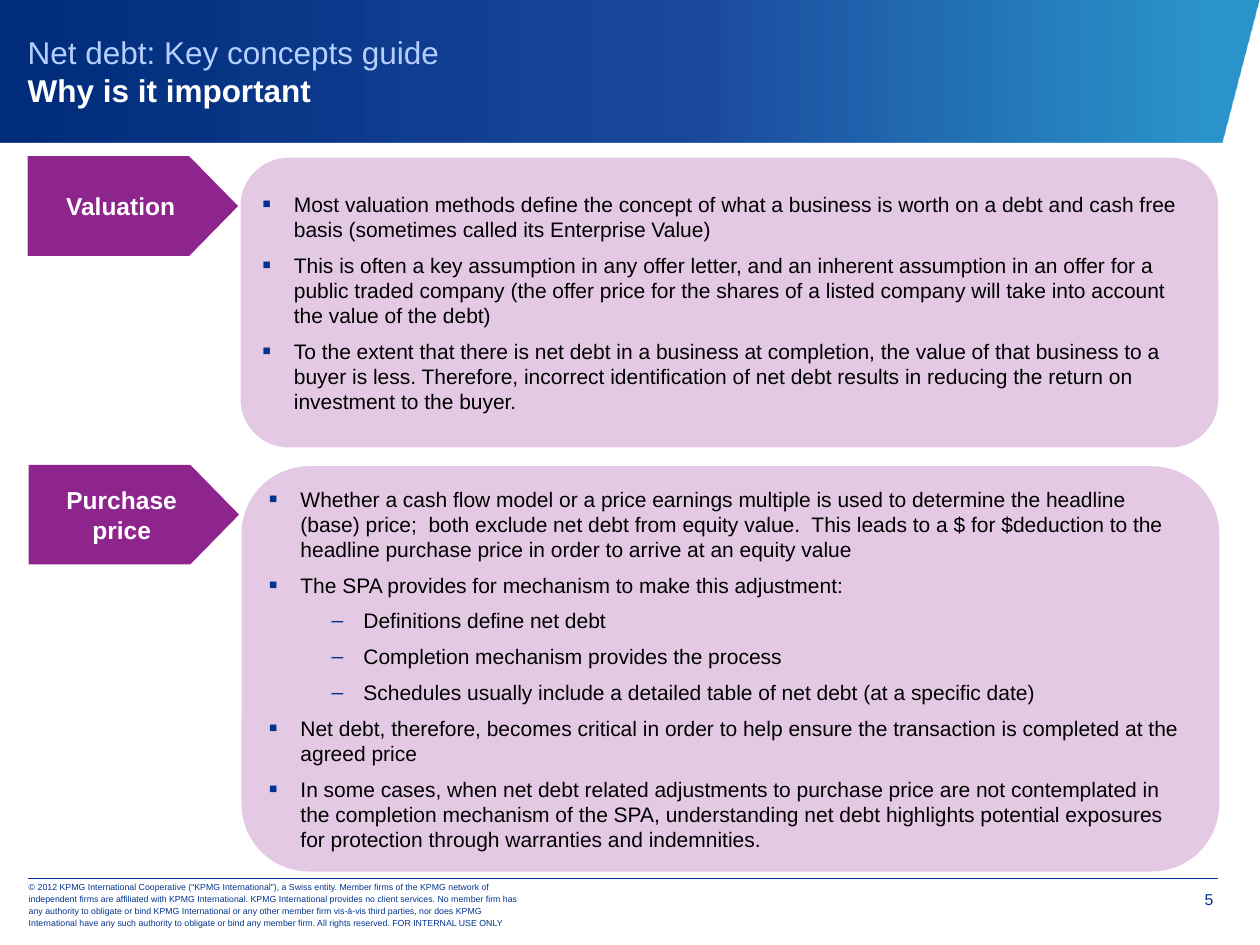
from dataclasses import dataclass

from lxml import etree
from pptx import Presentation
from pptx.dml.color import RGBColor
from pptx.enum.shapes import MSO_CONNECTOR, MSO_SHAPE
from pptx.enum.text import MSO_ANCHOR, PP_ALIGN
from pptx.oxml import parse_xml
from pptx.oxml.ns import nsdecls, qn
from pptx.util import Cm, Pt

MIDDLE, TOP = MSO_ANCHOR.MIDDLE, MSO_ANCHOR.TOP
LEFT, CENTER, RIGHT = PP_ALIGN.LEFT, PP_ALIGN.CENTER, PP_ALIGN.RIGHT
ROUND, ARROW = MSO_SHAPE.ROUNDED_RECTANGLE, MSO_SHAPE.PENTAGON
STRAIGHT = MSO_CONNECTOR.STRAIGHT


@dataclass(frozen=True)
class Theme:
    font: str = "Arial"
    navy: str = "00338D"
    pale: str = "B5D0FF"
    white: str = "FFFFFF"
    black: str = "000000"
    plum: str = "8E258D"
    lilac: str = "E3C9E3"
    # Banner stops: position %, colour, opacity %
    banner: tuple = ((4, "0080C0", 83), (44, "003492", 89), (100, "002C7A", 100))
    title: int = 18
    label: int = 14
    body: int = 12
    page: int = 9
    legal: int = 5


THEME = Theme()

# Bullet level, text
VALUE = [
    (1, "Most valuation methods define the concept of what a business is worth on a debt and "
        "cash free basis (sometimes called its Enterprise Value)"),
    (1, "This is often a key assumption in any offer letter, and an inherent assumption in an "
        "offer for a public traded company (the offer price for the shares of a listed company "
        "will take into account the value of the debt)"),
    (1, "To the extent that there is net debt in a business at completion, the value of that "
        "business to a buyer is less. Therefore, incorrect identification of net debt results "
        "in reducing the return on investment to the buyer."),
]
PRICE = [
    (1, "Whether a cash flow model or a price earnings multiple is used to determine the "
        "headline (base) price;  both exclude net debt from equity value.  This leads to a "
        "$ for $deduction to the headline purchase price in order to arrive at an equity value"),
    (1, "The SPA provides for mechanism to make this adjustment:"),
    (2, "Definitions define net debt"),
    (2, "Completion mechanism provides the process"),
    (2, "Schedules usually include a detailed table of net debt (at a specific date)"),
    (1, "Net debt, therefore, becomes critical in order to help ensure the transaction is "
        "completed at the agreed price"),
    (1, "In some cases, when net debt related adjustments to purchase price are not "
        "contemplated in the completion mechanism of the SPA, understanding net debt "
        "highlights potential exposures for protection through warranties and indemnities."),
]
LEGAL = (
    "© 2012 KPMG International Cooperative (“KPMG International”), a Swiss entity. Member firms "
    "of the KPMG network of independent firms are affiliated with KPMG International. KPMG "
    "International provides no client services. No member firm has any authority to obligate or "
    "bind KPMG International or any other member firm vis-à-vis third parties, nor does KPMG "
    "International have any such authority to obligate or bind any member firm. All rights "
    "reserved. FOR INTERNAL USE ONLY"
)


def rgb(color):
    return RGBColor.from_string(color)


def add_run(para, text, size, color, bold=False):
    run = para.add_run()
    run.text = text
    run.font.name = THEME.font
    run.font.size = Pt(size)
    run.font.bold = bold
    run.font.color.rgb = rgb(color)


def set_frame(shape, anchor, pads):
    frame = shape.text_frame
    frame.word_wrap = True
    frame.vertical_anchor = anchor
    (frame.margin_left, frame.margin_top,
     frame.margin_right, frame.margin_bottom) = map(Cm, pads)
    return frame


def add_text(slide, box, anchor=TOP, pads=(0, 0, 0, 0), align=LEFT):
    para = set_frame(slide.shapes.add_textbox(*map(Cm, box)), anchor, pads).paragraphs[0]
    para.alignment = align
    return para


def add_block(slide, kind, box, color):
    shape = slide.shapes.add_shape(kind, *map(Cm, box))
    shape.shadow.inherit = False
    shape.fill.solid()
    shape.fill.fore_color.rgb = rgb(color)
    shape.line.fill.background()
    return shape, set_frame(shape, MIDDLE, (0.15,) * 4)


def add_bullet(para, level):
    para.level = level
    props = para._p.get_or_add_pPr()
    props.set("marL", str(Cm(0.64 if level == 1 else 1.91)))
    props.set("indent", str(Cm(-0.64)))
    tint = etree.SubElement(props, qn("a:buClr"))
    etree.SubElement(tint, qn("a:srgbClr"), val=THEME.navy)
    etree.SubElement(props, qn("a:buSzPct"), val="125000" if level == 1 else "100000")
    etree.SubElement(props, qn("a:buFont"), typeface=THEME.font)
    etree.SubElement(props, qn("a:buChar"), char="▪" if level == 1 else "–")


def add_header(slide, box):
    x, y, w, h = box
    # Slanted banner
    pen = slide.shapes.build_freeform(Cm(x), Cm(y + h))
    pen.add_line_segments([(Cm(x + w - 0.76), Cm(y + h)), (Cm(x + w), Cm(y)),
                           (Cm(x), Cm(y))], close=True)
    shape = pen.convert_to_shape()
    shape.shadow.inherit = False
    shape.line.fill.background()
    stops = "".join(
        f'<a:gs pos="{pos * 1000}"><a:srgbClr val="{color}">'
        f'<a:alpha val="{alpha * 1000}"/></a:srgbClr></a:gs>'
        for pos, color, alpha in THEME.banner)
    grad = parse_xml(f'<a:gradFill {nsdecls("a")} rotWithShape="1"><a:gsLst>{stops}</a:gsLst>'
                     '<a:lin ang="10800000" scaled="0"/></a:gradFill>')
    shape._element.spPr.find(qn("a:custGeom")).addnext(grad)
    # Title
    para = add_text(slide, (x + 0.59, y + 0.36, 23.75, 2.21), MIDDLE)
    add_run(para, "Net debt: Key concepts guide", THEME.title, THEME.pale)
    para.add_line_break()
    add_run(para, "Why is it important", THEME.title, THEME.white, True)


def add_topic(slide, box, label, points):
    x, y, w, h = box
    # Panel with bullets
    _, frame = add_block(slide, ROUND, (x + 4.29, y + 0.03, w - 4.29, h - 0.03), THEME.lilac)
    for i, (level, text) in enumerate(points):
        para = frame.add_paragraph() if i else frame.paragraphs[0]
        para.alignment = LEFT
        add_bullet(para, level)
        para.space_before = Pt(3 if i else 0)
        para.space_after = Pt(3)
        add_run(para, text, THEME.body, THEME.black)
    # Arrow label
    arrow, frame = add_block(slide, ARROW, (x, y, 4.24, 2.01), THEME.plum)
    arrow.adjustments[0] = 0.49
    para = frame.paragraphs[0]
    para.alignment = CENTER
    add_run(para, label, THEME.label, THEME.white, True)


def add_footer(slide, box):
    x, y, w, h = box
    # Rule
    rule = slide.shapes.add_connector(STRAIGHT, Cm(x), Cm(y), Cm(x + w), Cm(y))
    rule.line.color.rgb = rgb(THEME.navy)
    rule.line.width = Pt(0.25)
    etree.SubElement(rule._element.spPr, qn("a:effectLst"))
    # Copyright line
    para = add_text(slide, (x - 0.23, y + 0.08, 10.54, h - 0.08), MIDDLE,
                    (0.25, 0.13, 0.25, 0.13))
    para.line_spacing = Pt(7)
    add_run(para, LEGAL, THEME.legal, THEME.navy)
    # Page number
    para = add_text(slide, (x + w - 1.5, y + 0.03, 1.4, 0.79), TOP, (0.2, 0.2, 0, 0), RIGHT)
    add_run(para, "5", THEME.page, THEME.navy)


def main():
    deck = Presentation()
    deck.slide_width, deck.slide_height = Cm(25.4), Cm(19.05)
    slide = deck.slides.add_slide(deck.slide_layouts[6])
    add_header(slide, (-0.03, -0.03, 25.43, 2.9))
    add_topic(slide, (0.56, 3.15, 24, 5.87), "Valuation", VALUE)
    add_topic(slide, (0.58, 9.37, 24, 8.2), "Purchase price", PRICE)
    add_footer(slide, (0.56, 17.7, 24, 0.97))
    deck.save("out.pptx")


if __name__ == "__main__":
    main()
